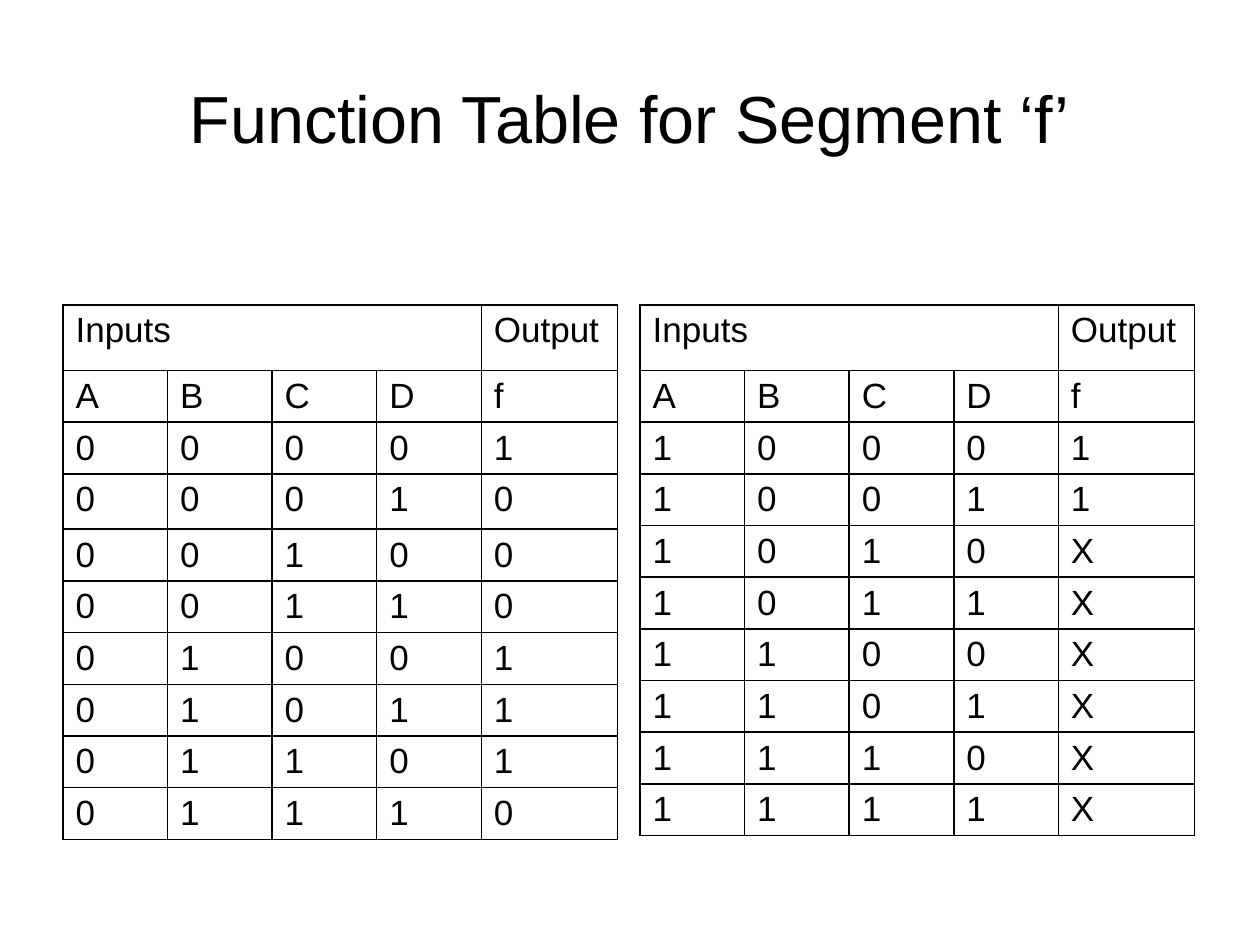
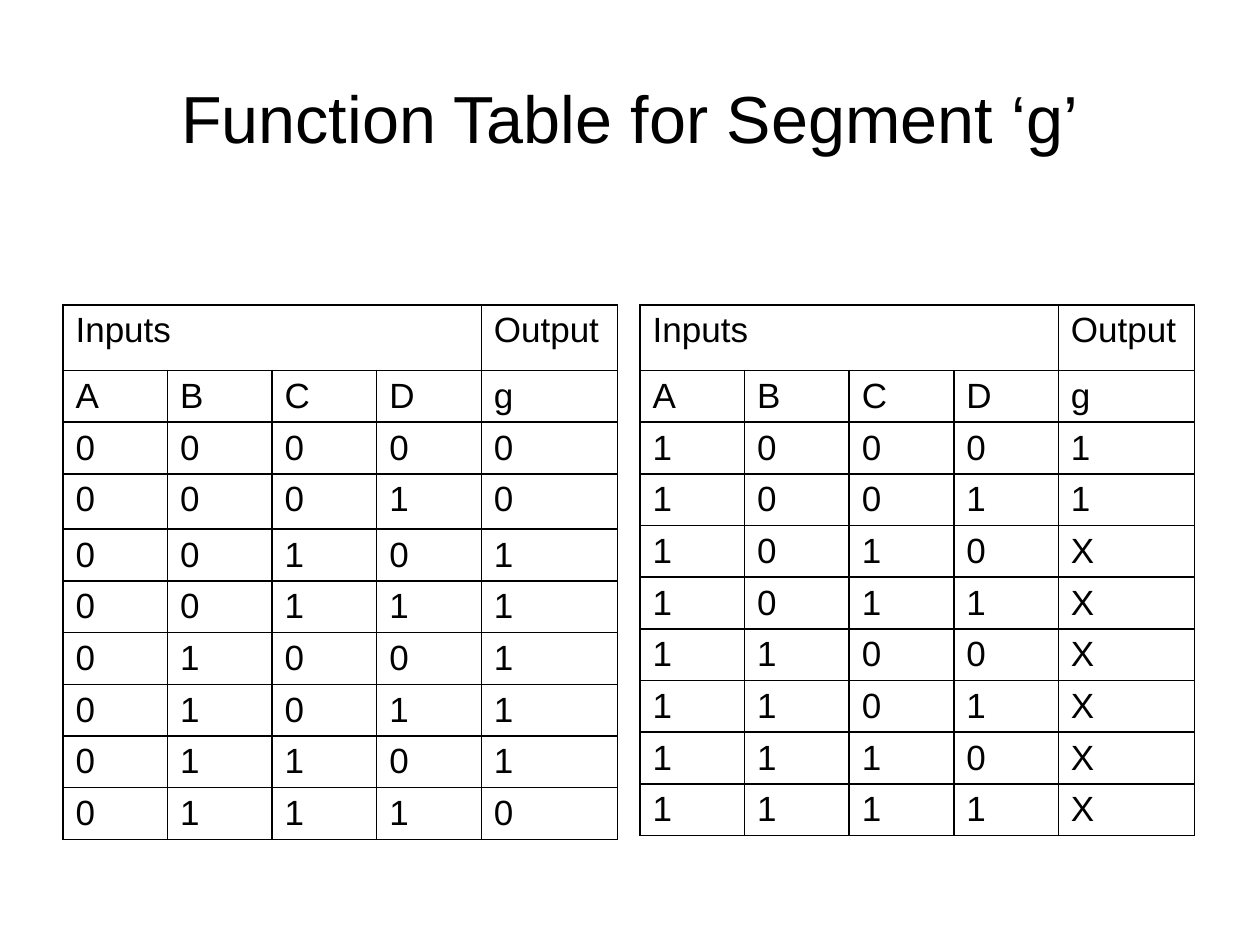
import itertools

import pptx
import pptx.dml.color
import pptx.enum.text
import pptx.oxml
import pptx.oxml.ns
import pptx.util
from pptx.util import Inches

# Content: the output for each input row, in counting order of A B C D
SEGMENT_OUTPUTS = {
    "f": "1000111011XXXXXX",
    "g": "0011111011XXXXXX",
}
INPUT_NAMES = ["A", "B", "C", "D"]

# Shared style
COLOURS = {"ink": "000000"}
FONT = "Arial"
TITLE_SIZE, CELL_SIZE = 38, 20
BORDER_WIDTH = 1

# Shared layout, in inches
MARGIN, CONTENT_WIDTH = 0.5, 9
TABLE_TOP, TABLE_WIDTH = 2.42, 4.42
INPUT_WIDTH, OUTPUT_WIDTH = 0.83, 1.08
HEADER_HEIGHT, ROW_HEIGHT = 0.52, 0.26  # rows grow to fit their text
HALVES = [
    {"left": MARGIN, "height": 4.44, "hanging": 0.38, "tall_rows": {3: 0.44}},
    {"left": MARGIN + CONTENT_WIDTH - TABLE_WIDTH, "height": 4.42,
     "hanging": 0, "tall_rows": {}},
]


def style_text(paragraph, size, alignment):
    paragraph.alignment = alignment
    for run in paragraph.runs:
        run.font.name = FONT
        run.font.size = pptx.util.Pt(size)
        run.font.color.rgb = pptx.dml.color.RGBColor.from_string(COLOURS["ink"])


def add_borders(cell):
    properties = cell._tc.get_or_add_tcPr()
    for position, side in enumerate(["lnL", "lnR", "lnT", "lnB"]):
        properties.insert(position, pptx.oxml.parse_xml(
            f'<a:{side} {pptx.oxml.ns.nsdecls("a")} w="{pptx.util.Pt(BORDER_WIDTH)}">'
            f'<a:solidFill><a:srgbClr val="{COLOURS["ink"]}"/></a:solidFill>'
            f'</a:{side}>'))


def format_cell(cell, hanging):
    cell.fill.background()
    add_borders(cell)
    paragraph = cell.text_frame.paragraphs[0]
    style_text(paragraph, CELL_SIZE, pptx.enum.text.PP_ALIGN.JUSTIFY)
    if hanging:
        indent = Inches(hanging)
        paragraph_properties = paragraph._p.get_or_add_pPr()
        paragraph_properties.set("marL", str(indent))
        paragraph_properties.set("indent", str(-indent))


def add_title(slide, text):
    title = slide.shapes.title
    title.left, title.top = Inches(MARGIN), Inches(0.3)
    title.width, title.height = Inches(CONTENT_WIDTH), Inches(1.25)
    frame = title.text_frame
    frame.text = text
    frame.auto_size = pptx.enum.text.MSO_AUTO_SIZE.NONE
    frame.vertical_anchor = pptx.enum.text.MSO_ANCHOR.MIDDLE
    style_text(frame.paragraphs[0], TITLE_SIZE, pptx.enum.text.PP_ALIGN.CENTER)


def add_function_table(slide, rows, half):
    frame = slide.shapes.add_table(
        len(rows), len(rows[0]), Inches(half["left"]), Inches(TABLE_TOP),
        Inches(TABLE_WIDTH), Inches(half["height"]))
    function_table = frame.table
    function_table.first_row = function_table.horz_banding = False

    # Column and row sizes
    widths = [INPUT_WIDTH] * len(INPUT_NAMES) + [OUTPUT_WIDTH]
    for column, width in zip(function_table.columns, widths):
        column.width = Inches(width)
    heights = {0: HEADER_HEIGHT, **half["tall_rows"]}
    for index, row in enumerate(function_table.rows):
        row.height = Inches(heights.get(index, ROW_HEIGHT))
    frame.height = Inches(half["height"])

    # Values, with one heading over all inputs
    for r, values in enumerate(rows):
        for c, value in enumerate(values):
            cell = function_table.cell(r, c)
            cell.text_frame.text = value
            format_cell(cell, half["hanging"])
    function_table.cell(0, 0).merge(function_table.cell(0, len(INPUT_NAMES) - 1))


def main():
    deck = pptx.Presentation()
    deck.slide_width, deck.slide_height = Inches(10), Inches(7.5)
    title_only = deck.slide_layouts[5]
    input_rows = list(itertools.product("01", repeat=len(INPUT_NAMES)))
    half_size = len(input_rows) // len(HALVES)

    for segment, outputs in SEGMENT_OUTPUTS.items():
        slide = deck.slides.add_slide(title_only)
        add_title(slide, f"Function Table for Segment ‘{segment}’")
        headings = [["Inputs", "", "", "", "Output"], INPUT_NAMES + [segment]]
        truth_rows = [[*bits, out] for bits, out in zip(input_rows, outputs)]
        for number, half in enumerate(HALVES):
            start = number * half_size
            add_function_table(
                slide, headings + truth_rows[start:start + half_size], half)

    deck.save("out.pptx")


if __name__ == "__main__":
    main()
